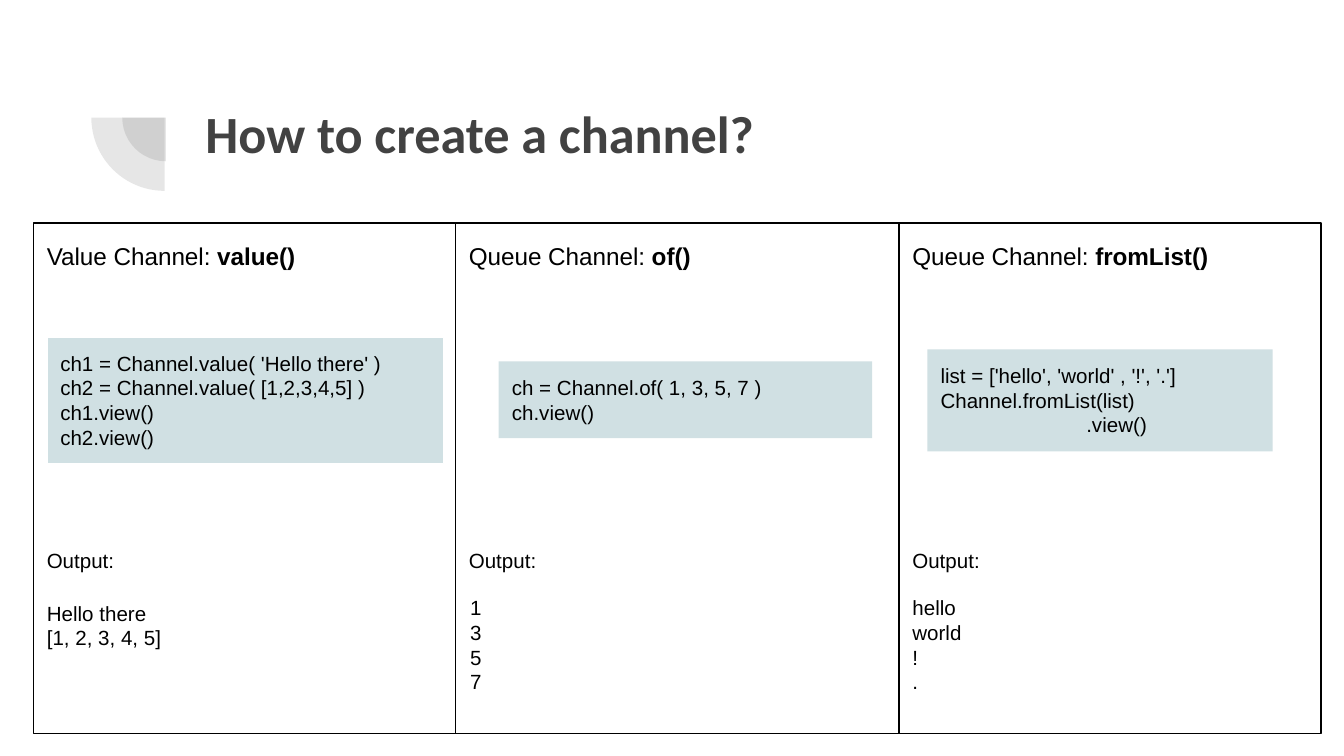
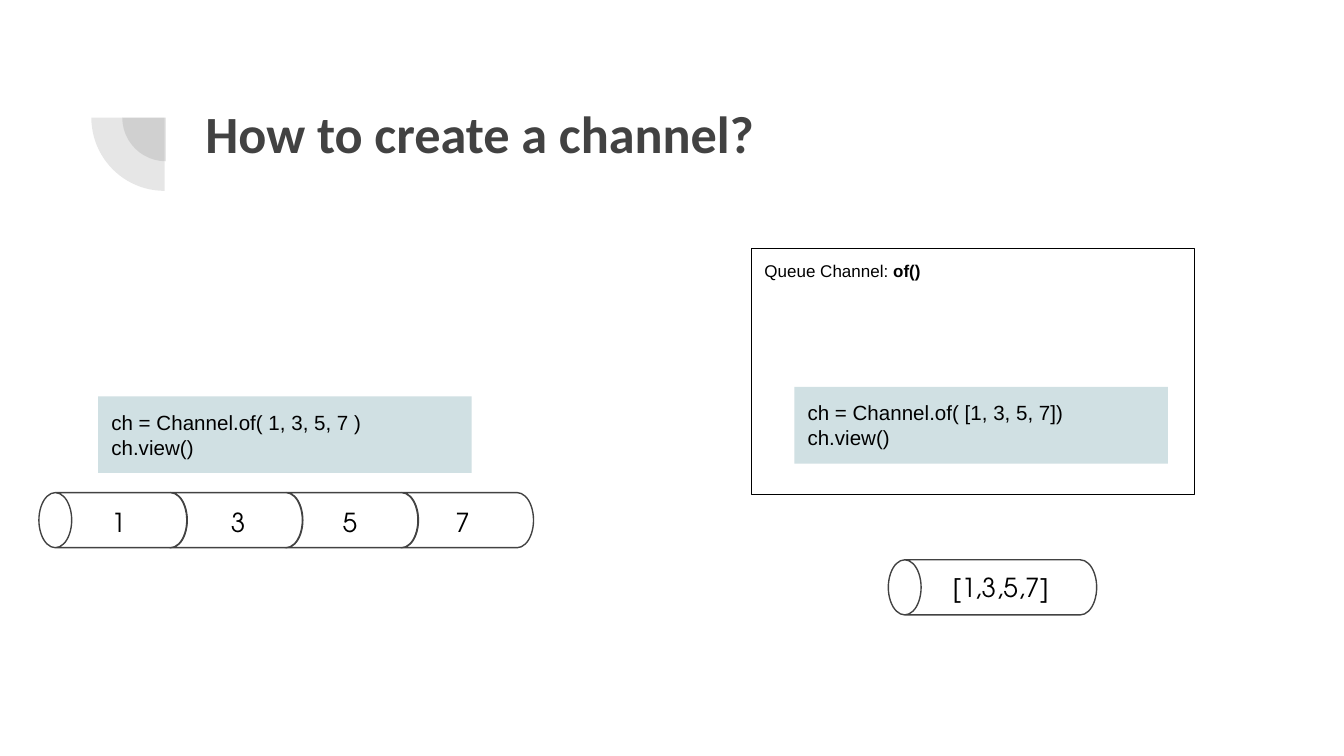
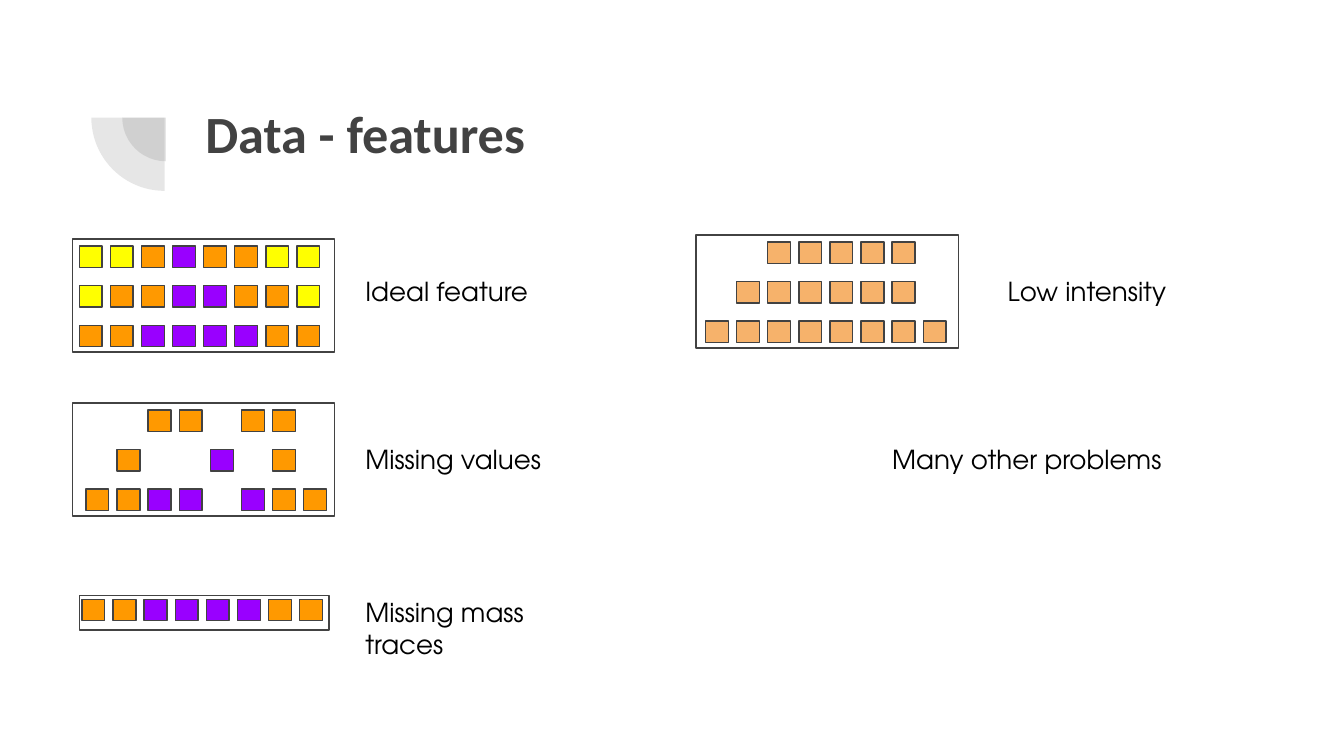
"""Build three slides on channel creation and data features."""
from lxml.etree import SubElement
from pptx import Presentation
from pptx.dml.color import RGBColor
from pptx.enum.shapes import MSO_SHAPE
from pptx.enum.text import MSO_ANCHOR, PP_ALIGN
from pptx.oxml.ns import qn
from pptx.util import Inches, Pt

WIDTH = 10
HEIGHT = WIDTH * 9 / 16
INK, BLACK, WHITE, CODE_FILL = "424242", "000000", "FFFFFF", "D0E0E3"
TITLE_FONT, BODY_FONT, LABEL_FONT = "Calibri", "Arial", "TeX Gyre Adventor"
INSET = 0.1

PANEL_LEFT, PANEL_TOP, PANEL_HEIGHT = 0.25, 1.66, 3.8
CHANNELS = [
    {
        "width": 3.14,
        "heading": ("Value Channel: ", "value()"),
        "code": ["ch1 = Channel.value( 'Hello there' )", "ch2 = Channel.value( [1,2,3,4,5] )",
                 "ch1.view()", "ch2.view()"],
        "code_box": (0.35, 2.51, 2.95, 0.94),
        "code_line": WHITE,
        "output": ["Hello there", "[1, 2, 3, 4, 5]"],
        "output_box": (0.25, 4.37, 2.52, 0.57),
    },
    {
        "width": 3.3,
        "heading": ("Queue Channel: ", "of()"),
        "code": ["ch = Channel.of( 1, 3, 5, 7 )", "ch.view()"],
        "code_box": (3.71, 2.69, 2.78, 0.57),
        "code_line": None,
        "output": ["1", "3", "5", "7"],
        "output_box": (3.4, 4.33, 3.28, 0.94),
    },
    {
        "width": 3.14,
        "heading": ("Queue Channel: ", "fromList()"),
        "code": ["list = ['hello', 'world' , '!', '.']", "Channel.fromList(list)",
                 "  \t  .view()"],
        "code_box": (6.9, 2.6, 2.57, 0.76),
        "code_line": None,
        "output": ["hello", "world", "!", "."],
        "output_box": (6.69, 4.33, 3.28, 0.94),
    },
]

QUEUE_HEADING = ("Queue Channel: ", "of()")
QUEUE_EXAMPLES = [
    (["ch = Channel.of( [1, 3, 5, 7])", "ch.view()"], (5.91, 2.88, 2.78, 0.57)),
    (["ch = Channel.of( 1, 3, 5, 7 )", "ch.view()"], (0.73, 2.95, 2.78, 0.57)),
]
QUEUE_ITEMS = [("1", 0.73), ("3", 1.62), ("5", 2.45), ("7", 3.29)]
PIPE_LEFT, PIPE_STEP, PIPE_LENGTH, PIPE_WIDTH = 0.29, 0.86, 1.1, 0.41

CELL_COLORS = {"Y": "FFFF00", "O": "FF9900", "P": "9900FF", "L": "F6B26B"}
CELL_WIDTH, CELL_HEIGHT = 0.17, 0.16
COLUMN_STEP, ROW_STEP = 1.62 / 7, 0.59 / 2
FEATURES = [
    ((0.54, 1.78, 1.95, 0.84), (0.59, 1.83), ["YYOPOOYY", "YOOPPOOY", "OOPPPPOO"]),
    ((0.54, 3, 1.95, 0.84), (0.64, 3.05), ["..OO.OO.", ".O..P.O.", "OOPP.POO"]),
    ((0.59, 4.43, 1.86, 0.26), (0.61, 4.46), ["OOPPPPOO"]),
    ((5.18, 1.75, 1.95, 0.84), (5.25, 1.8), ["..LLLLL.", ".LLLLLL.", "LLLLLLLL"]),
]
FEATURE_LABELS = [
    ("Ideal feature", 2.62, 1.95, 1.86),
    ("Missing values", 2.62, 3.2, 1.86),
    ("Missing mass traces", 2.62, 4.34, 1.95),
    ("Low intensity", 7.4, 1.95, 1.86),
    ("Many other problems", 6.54, 3.2, 2.24),
]


def color(value):
    """Turn a hex string into a colour."""
    return RGBColor.from_string(value)


def write(shape, paragraphs, size=11, later_size=None, font=BODY_FONT, ink=BLACK,
          bold=False, spacing=1, gap=0):
    """Write paragraphs; in a tuple, every second run is bold, and gap precedes later ones."""
    frame = shape.text_frame
    frame.word_wrap = True
    frame.vertical_anchor = MSO_ANCHOR.TOP
    frame.margin_left = frame.margin_right = Inches(INSET)
    frame.margin_top = frame.margin_bottom = Inches(INSET)
    for index, content in enumerate(paragraphs):
        paragraph = frame.paragraphs[0] if index == 0 else frame.add_paragraph()
        paragraph.alignment = PP_ALIGN.LEFT
        paragraph.line_spacing = spacing
        if index and gap:
            paragraph.space_before = Pt(gap)
        runs = (content,) if isinstance(content, str) else content
        if "\t" in runs[0]:
            tabs = SubElement(paragraph._p.get_or_add_pPr(), qn("a:tabLst"))
            SubElement(tabs, qn("a:tab"), pos=str(Inches(1)), algn="l")
        for position, text in enumerate(runs):
            run = paragraph.add_run()
            run.text = text
            run.font.name = font
            run.font.size = Pt(later_size if index and later_size else size)
            run.font.bold = bold or position % 2 == 1
            run.font.color.rgb = color(ink)


def add_shape(slide, box, kind=MSO_SHAPE.RECTANGLE, fill=None, line=None):
    """Add a flat preset shape in a box of inches."""
    shape = slide.shapes.add_shape(kind, *map(Inches, box))
    shape.shadow.inherit = False
    if fill:
        shape.fill.solid()
        shape.fill.fore_color.rgb = color(fill)
    else:
        shape.fill.background()
    if line:
        shape.line.color.rgb = color(line)
        shape.line.width = Pt(0.75)
    else:
        shape.line.fill.background()
    return shape


def add_text(slide, box, paragraphs, **style):
    """Add a text box."""
    write(slide.shapes.add_textbox(*map(Inches, box)), paragraphs, **style)


def add_code(slide, box, lines, line=None):
    """Add a tinted box of code."""
    write(add_shape(slide, box, fill=CODE_FILL, line=line), lines)


def add_pipe(slide, left, center, length):
    """Add a can lying on its side."""
    box = (left + (length - PIPE_WIDTH) / 2, center - length / 2, PIPE_WIDTH, length)
    pipe = add_shape(slide, box, MSO_SHAPE.CAN, WHITE, INK)
    pipe.rotation = 270
    pipe.adjustments[0] = 0.595


def add_slide(presentation, title, width=7.69):
    """Add a slide with the quarter-circle ornament and a title."""
    slide = presentation.slides.add_slide(presentation.slide_layouts[6])
    for left, top, diameter in [(0.91, 0.55, 0.65), (0.68, 0.33, 1.09)]:
        quarter = add_shape(slide, (left, top, diameter, diameter), MSO_SHAPE.PIE, INK)
        quarter.rotation = 270
        quarter.adjustments[0], quarter.adjustments[1] = 108, 162
        tint = next(quarter.element.spPr.iter(qn("a:srgbClr")))
        SubElement(tint, qn("a:alpha"), val="13000")
    add_text(slide, (1.43, 0.65, width, 1.09), [title],
             size=28, font=TITLE_FONT, ink=INK, bold=True)
    return slide


def build_channels(presentation):
    """Compare three channel factories side by side."""
    slide = add_slide(presentation, "How to create a channel?")
    left = PANEL_LEFT
    for channel in CHANNELS:
        panel = add_shape(slide, (left, PANEL_TOP, channel["width"], PANEL_HEIGHT), line=BLACK)
        write(panel, [channel["heading"], "Output:"],
              size=13, later_size=11, spacing=1.15, gap=147)
        add_code(slide, channel["code_box"], channel["code"], channel["code_line"])
        add_text(slide, channel["output_box"], channel["output"])
        left += channel["width"]


def build_queue(presentation):
    """Show separate queue items against a single list item."""
    slide = add_slide(presentation, "How to create a channel?")
    panel = add_shape(slide, (5.59, 1.85, 3.3, 1.83), line=BLACK)
    write(panel, [QUEUE_HEADING], size=9.1, spacing=0.95)
    for index in reversed(range(len(QUEUE_ITEMS))):
        add_pipe(slide, PIPE_LEFT + index * PIPE_STEP, 3.87, PIPE_LENGTH)
    for lines, box in QUEUE_EXAMPLES:
        add_code(slide, box, lines)
    for item, left in QUEUE_ITEMS:
        add_text(slide, (left, 3.67, 0.31, 0.44), [item], size=14, font=LABEL_FONT)
    add_pipe(slide, 6.61, 4.37, 1.55)
    add_text(slide, (6.99, 4.15, 0.97, 0.44), ["[1,3,5,7]"], size=14, font=LABEL_FONT)


def build_features(presentation):
    """Draw feature grids with their labels."""
    slide = add_slide(presentation, "Data - features", 3.87)
    for frame, (left, top), rows in FEATURES:
        add_shape(slide, frame, line=INK)
        for row, cells in enumerate(rows):
            for column, cell in enumerate(cells):
                if cell in CELL_COLORS:
                    box = (left + column * COLUMN_STEP, top + row * ROW_STEP,
                           CELL_WIDTH, CELL_HEIGHT)
                    add_shape(slide, box, fill=CELL_COLORS[cell], line=INK)
    for label, left, top, width in FEATURE_LABELS:
        add_text(slide, (left, top, width, 0.44), [label], size=14, font=LABEL_FONT)


def main():
    """Build and save the presentation."""
    presentation = Presentation()
    presentation.slide_width, presentation.slide_height = Inches(WIDTH), Inches(HEIGHT)
    build_channels(presentation)
    build_queue(presentation)
    build_features(presentation)
    presentation.save("out.pptx")


if __name__ == "__main__":
    main()
